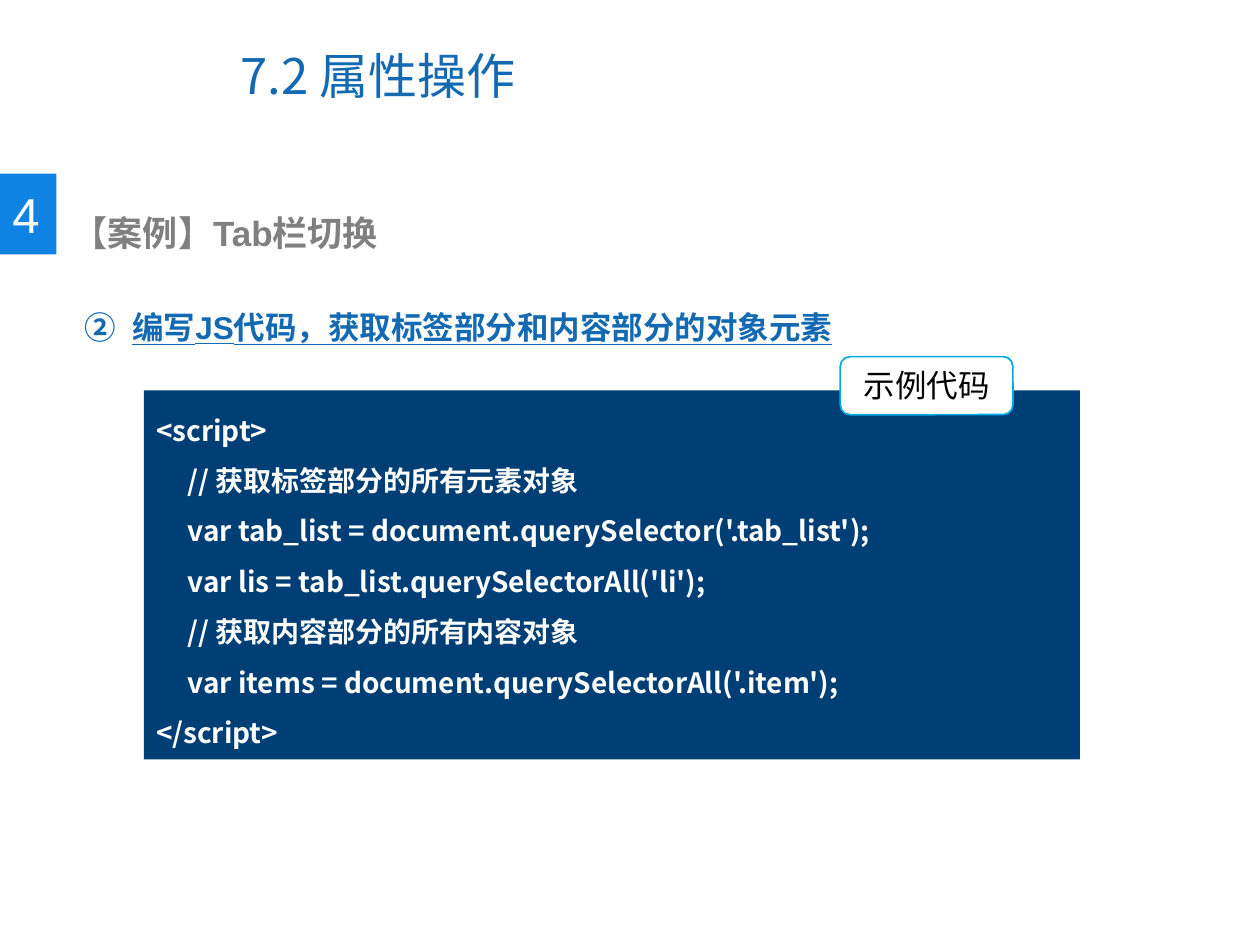
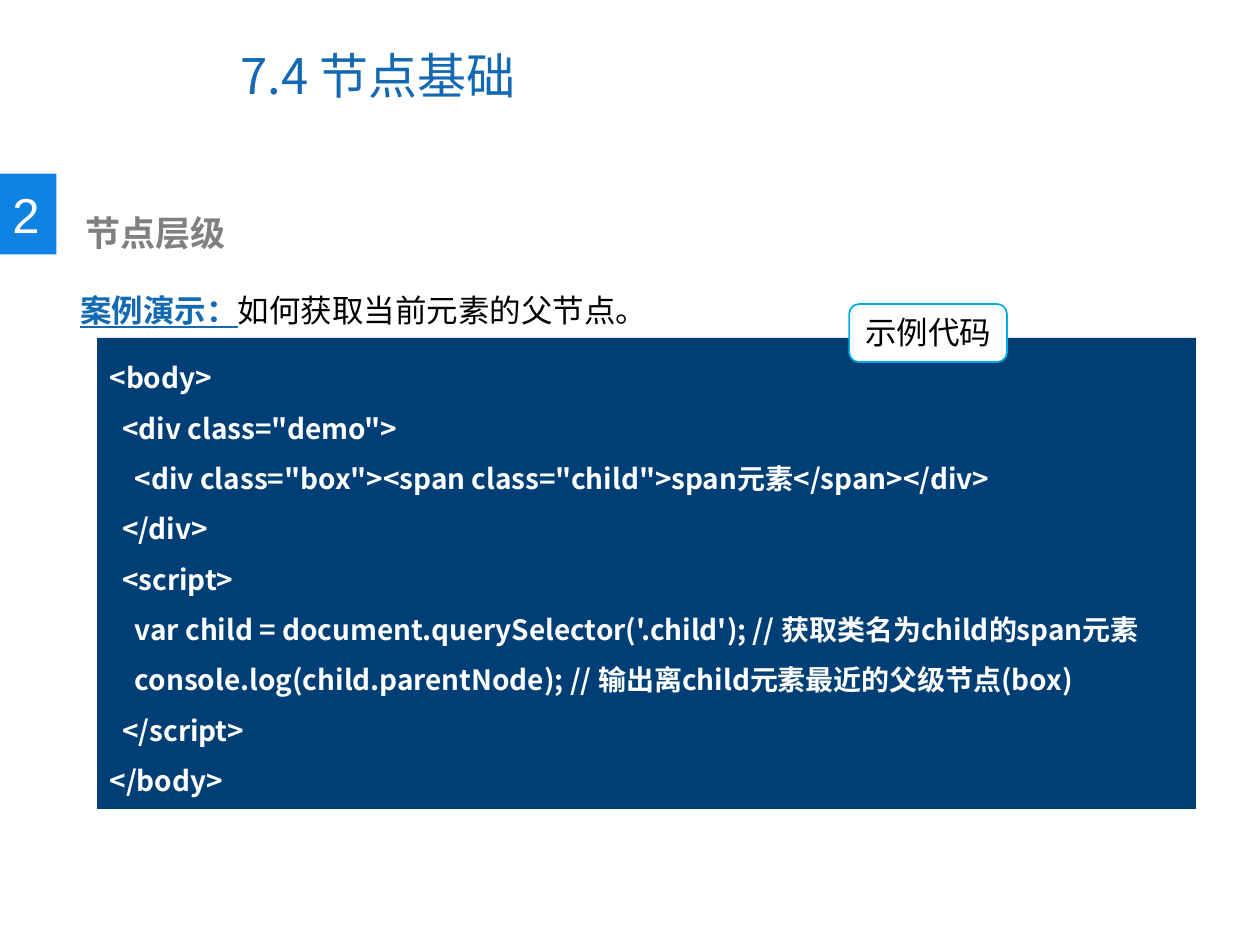
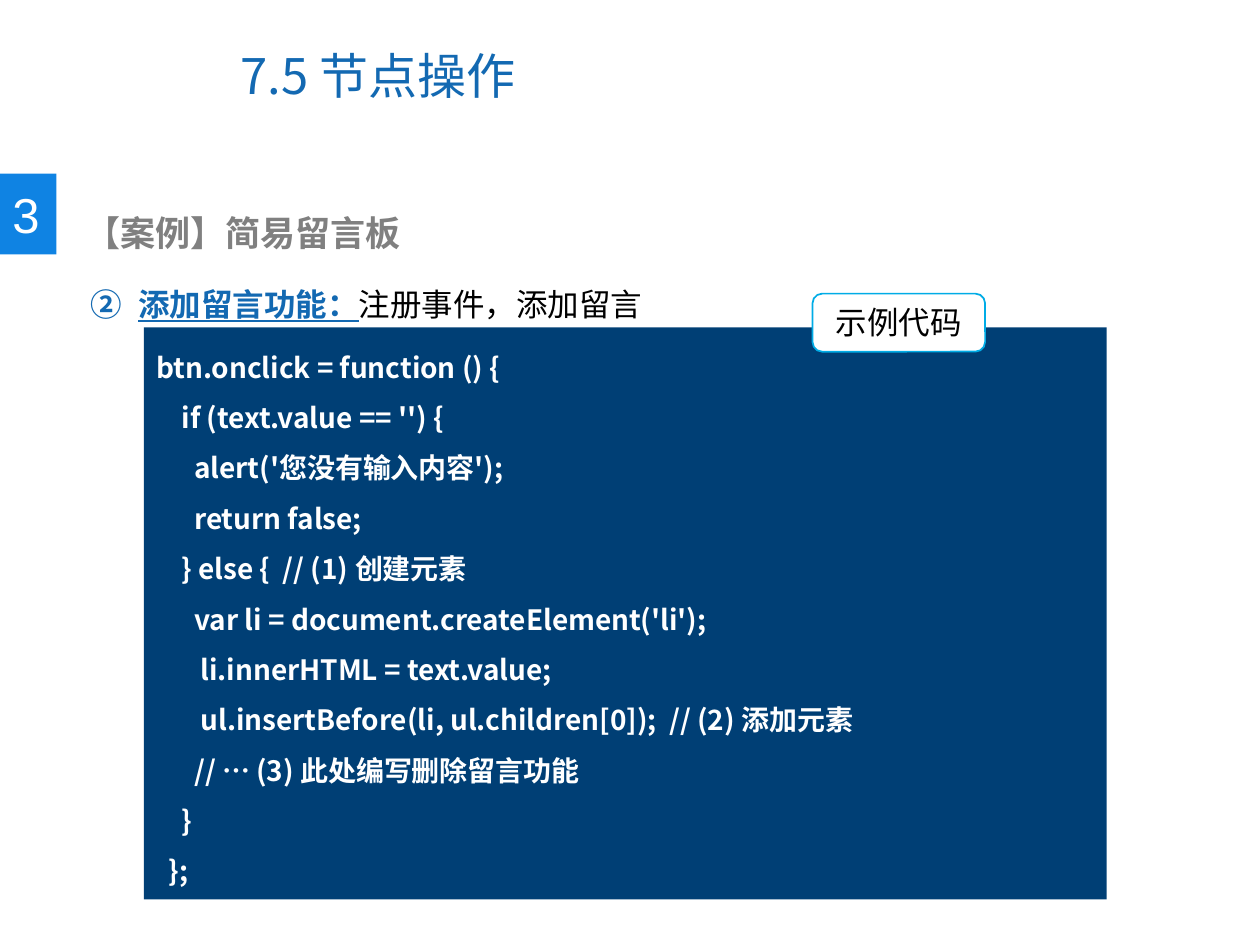
from lxml.etree import SubElement
from pptx import Presentation
from pptx.dml.color import RGBColor
from pptx.enum.shapes import MSO_SHAPE
from pptx.enum.text import MSO_ANCHOR, MSO_AUTO_SIZE, PP_ALIGN
from pptx.oxml.ns import qn
from pptx.util import Cm, Pt

COLORS = {
    "title": "1369B2",
    "badge": "0F83E3",
    "heading": "808080",
    "code": "003F75",
    "label_line": "00ACE6",
    "white": "FFFFFF",
    "black": "000000",
}
LATIN = "Arial"
CJK = "Noto Sans CJK SC"
LABEL_RISE = 0.68  # how far the label stands above its code box, cm

TAB_CODE = """\
<script>
     // 获取标签部分的所有元素对象
     var tab_list = document.querySelector('.tab_list');
     var lis = tab_list.querySelectorAll('li');
     // 获取内容部分的所有内容对象
     var items = document.querySelectorAll('.item');
</script>"""

PARENT_CODE = """\
<body>
  <div class="demo">
    <div class="box"><span class="child">span元素</span></div>
  </div>
  <script>
    var child = document.querySelector('.child'); // 获取类名为child的span元素
    console.log(child.parentNode); // 输出离child元素最近的父级节点(box)
  </script>
</body>"""

MESSAGE_CODE = """\
btn.onclick = function () {
    if (text.value == '') {
      alert('您没有输入内容');
      return false;
    } else {  // (1) 创建元素
      var li = document.createElement('li');
       li.innerHTML = text.value;
       ul.insertBefore(li, ul.children[0]);  // (2) 添加元素
      // … (3) 此处编写删除留言功能
    }
  };"""


def rgb(name):
    return RGBColor.from_string(COLORS[name])


def add_run(p, text, size, color, font=LATIN, bold=False, underline=False):
    r = p.add_run()
    r.text = text
    r.font.size = Pt(size)
    r.font.name = font
    r.font.bold = bold
    r.font.underline = underline
    r.font.color.rgb = rgb(color)
    SubElement(r.font._element, qn("a:ea"), typeface=CJK)


def add_text(s, left, top, width, height):
    tf = s.shapes.add_textbox(Cm(left), Cm(top), Cm(width), Cm(height)).text_frame
    tf.word_wrap = True
    return tf.paragraphs[0]


def add_box(s, kind, left, top, width, height, fill, line=None):
    sp = s.shapes.add_shape(kind, Cm(left), Cm(top), Cm(width), Cm(height))
    sp.shadow.inherit = False
    sp.fill.solid()
    sp.fill.fore_color.rgb = rgb(fill)
    if line:
        sp.line.color.rgb = rgb(line)
        sp.line.width = Pt(1)
    else:
        sp.line.fill.background()
    sp.text_frame.vertical_anchor = MSO_ANCHOR.TOP
    return sp


def add_title(s, text):
    sp = s.shapes.title
    sp.left, sp.top, sp.width, sp.height = Cm(4.6), Cm(0.43), Cm(13.1), Cm(2.16)
    tf = sp.text_frame
    tf.auto_size = MSO_AUTO_SIZE.NONE
    tf.vertical_anchor = MSO_ANCHOR.MIDDLE
    p = tf.paragraphs[0]
    p.alignment = PP_ALIGN.LEFT
    add_run(p, text, 28, "title", CJK)


def add_heading(s, number, text, left):
    add_box(s, MSO_SHAPE.RECTANGLE, 0, 3.5, 1.14, 1.63, "badge")
    add_run(add_text(s, 0, 3.6, 1.07, 1.45), number, 28, "white")
    add_run(add_text(s, left, 4.14, 13.06, 1.12), text, 20, "heading", bold=True)


def add_step(s, left, top, lead, rest="", start=None):
    p = add_text(s, left, top, 21.97, 1.8)
    p.line_spacing = 2.0
    if start:
        pPr = p._p.get_or_add_pPr()
        pPr.set("marL", str(Cm(0.97)))
        pPr.set("indent", str(-Cm(0.97)))
        SubElement(pPr, qn("a:buFont"), typeface=LATIN)
        SubElement(pPr, qn("a:buAutoNum"), type="circleNumDbPlain", startAt=str(start))
    add_run(p, lead, 18, "title", bold=True, underline=True)
    if rest:
        add_run(p, rest, 18, "black")


def add_code(s, code, left, top, width, height, label_left, label_width=3.48):
    tf = add_box(s, MSO_SHAPE.RECTANGLE, left, top, width, height, "code").text_frame
    for i, line in enumerate(code.split("\n")):
        p = tf.add_paragraph() if i else tf.paragraphs[0]
        p.alignment = PP_ALIGN.LEFT
        p.line_spacing = 1.5
        add_run(p, line, 16, "white", CJK, bold=True)

    # Label on the upper edge of the code
    sp = add_box(s, MSO_SHAPE.ROUNDED_RECTANGLE, label_left, top - LABEL_RISE,
                 label_width, 1.17, "white", "label_line")
    p = sp.text_frame.paragraphs[0]
    p.alignment = PP_ALIGN.CENTER
    add_run(p, "示例代码", 18, "black")


def add_slide(prs, title, number, heading, heading_left):
    s = prs.slides.add_slide(prs.slide_layouts[5])
    add_title(s, title)
    add_heading(s, number, heading, heading_left)
    return s


def main():
    prs = Presentation()
    prs.slide_width, prs.slide_height = Cm(25.4), Cm(19.05)

    # Tab switching
    s = add_slide(prs, "7.2 属性操作", "4", "【案例】Tab栏切换", 1.22)
    add_step(s, 1.45, 5.33, "编写JS代码，获取标签部分和内容部分的对象元素", start=2)
    add_code(s, TAB_CODE, 2.9, 7.87, 18.87, 7.44, 16.94)

    # Parent node
    s = add_slide(prs, "7.4 节点基础", "2", "节点层级", 1.47)
    add_step(s, 1.37, 4.98, "案例演示：", "如何获取当前元素的父节点。")
    add_code(s, PARENT_CODE, 1.96, 6.81, 22.15, 9.5, 17.12, 3.18)

    # Message board
    s = add_slide(prs, "7.5 节点操作", "3", "【案例】简易留言板", 1.47)
    add_step(s, 1.57, 4.85, "添加留言功能：", "注册事件，添加留言", start=2)
    add_code(s, MESSAGE_CODE, 2.9, 6.6, 19.41, 11.53, 16.38)

    prs.save("out.pptx")


if __name__ == "__main__":
    main()
